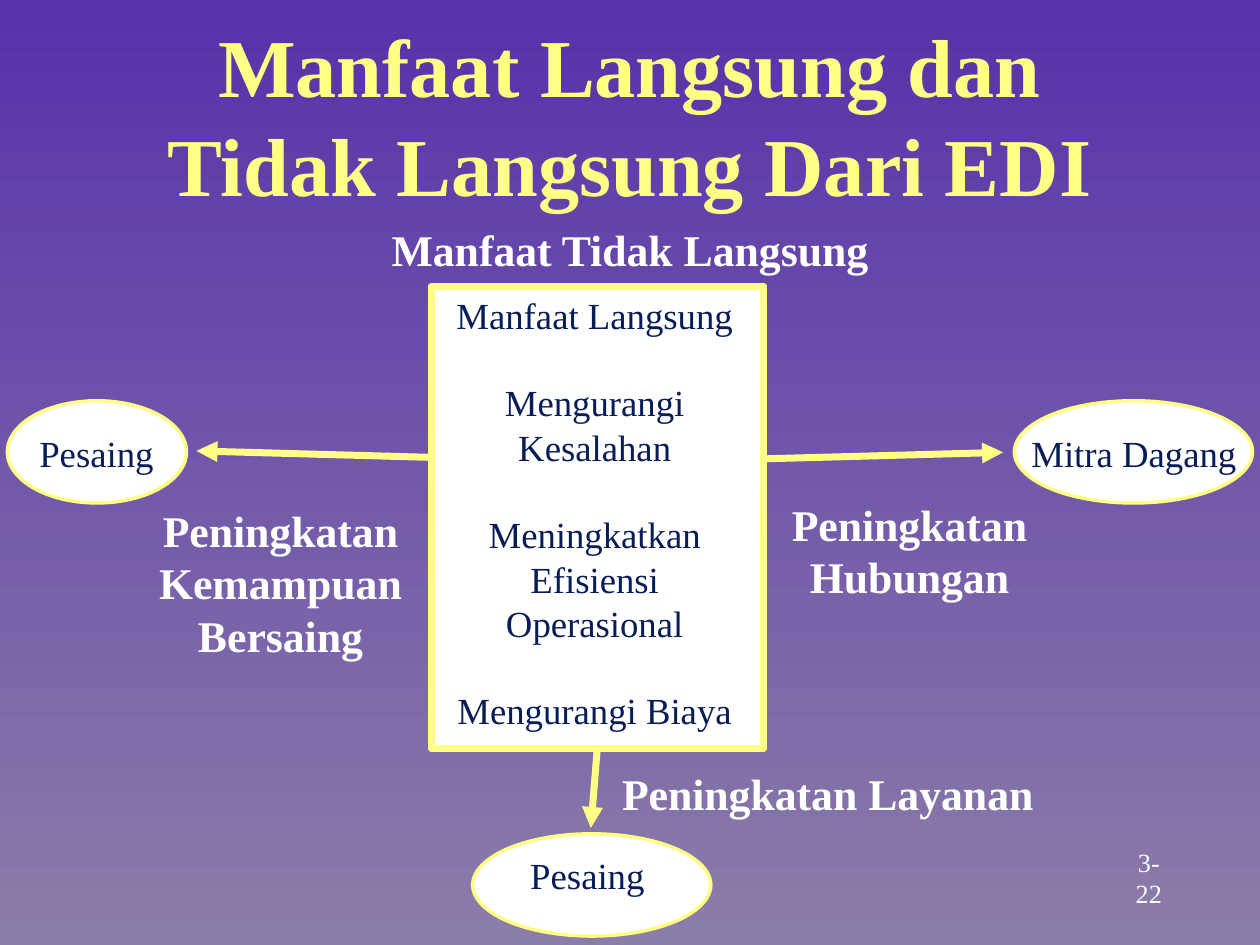
from lxml import etree
from pptx import Presentation
from pptx.dml.color import RGBColor
from pptx.enum.shapes import MSO_CONNECTOR, MSO_SHAPE
from pptx.enum.text import MSO_ANCHOR, MSO_AUTO_SIZE, PP_ALIGN
from pptx.oxml.ns import qn
from pptx.util import Cm, Pt

OVAL, RECT = MSO_SHAPE.OVAL, MSO_SHAPE.RECTANGLE
STRAIGHT = MSO_CONNECTOR.STRAIGHT
LEFT, CENTER = PP_ALIGN.LEFT, PP_ALIGN.CENTER
TOP, MIDDLE = MSO_ANCHOR.TOP, MSO_ANCHOR.MIDDLE
NO_FIT = MSO_AUTO_SIZE.NONE

FONT = "Times New Roman"
YELLOW = RGBColor(0xFF, 0xFF, 0x85)
WHITE = RGBColor(0xFF, 0xFF, 0xFF)
NAVY = RGBColor(0x08, 0x1D, 0x58)
VIOLET = RGBColor(0x57, 0x32, 0xAA)
MAUVE = RGBColor(0x8B, 0x7D, 0xA9)


def set_background(s):
    """Fill the slide with a vertical gradient."""
    fill = s.background.fill
    fill.gradient()
    fill.gradient_angle = 270
    for stop, color, position in zip(fill.gradient_stops, (VIOLET, MAUVE), (0, 1)):
        stop.color.rgb = color
        stop.position = position


def format_text(tf, size, color, bold=False, align=CENTER, gap=0):
    """Apply one font, alignment and paragraph gap to a text frame."""
    for i, p in enumerate(tf.paragraphs):
        p.alignment = align
        p.space_before = Pt(gap if i else 0)
        for r in p.runs:
            r.font.name = FONT
            r.font.size = Pt(size)
            r.font.bold = bold
            r.font.color.rgb = color


def set_title(s, text):
    """Place and format the title placeholder."""
    sp = s.shapes.title
    sp.left, sp.top, sp.width, sp.height = Cm(1.9), Cm(0.43), Cm(21.59), Cm(3.73)
    tf = sp.text_frame
    tf.text = text
    tf.auto_size = NO_FIT
    tf.vertical_anchor = MIDDLE
    format_text(tf, 47, YELLOW, bold=True)


def add_outlined(s, kind, box, weight):
    """Add a white shape with a yellow outline."""
    sp = s.shapes.add_shape(kind, *map(Cm, box))
    sp.shadow.inherit = False
    sp.fill.solid()
    sp.fill.fore_color.rgb = WHITE
    sp.line.color.rgb = YELLOW
    sp.line.width = Pt(weight)


def add_arrow(s, tip, end):
    """Add a yellow line with an arrowhead at its tip."""
    line = s.shapes.add_connector(STRAIGHT, *map(Cm, tip + end))
    line.line.color.rgb = YELLOW
    line.line.width = Pt(4)
    ln = line.line._get_or_add_ln()
    etree.SubElement(ln, qn("a:headEnd"), type="triangle")
    etree.SubElement(line._element.spPr, qn("a:effectLst"))


def add_text(s, text, box, size, color, wrap=False, anchor=TOP, **style):
    """Add a text box with one paragraph per line of text."""
    tf = s.shapes.add_textbox(*map(Cm, box)).text_frame
    tf.text = text
    tf.word_wrap = wrap
    tf.vertical_anchor = anchor
    format_text(tf, size, color, **style)


def add_label(s, text, box, **style):
    """Add a navy label on a white shape."""
    add_text(s, text, box, 21, NAVY, **style)


def add_heading(s, text, box, **style):
    """Add a bold white heading on the background."""
    add_text(s, text, box, 25, WHITE, bold=True, **style)


def main():
    """Build the slide and save it."""
    prs = Presentation()
    prs.slide_width, prs.slide_height = Cm(25.4), Cm(19.05)
    s = prs.slides.add_slide(prs.slide_layouts[5])
    set_background(s)
    set_title(s, "Manfaat Langsung dan Tidak Langsung Dari EDI")

    for left, top, width in ((0.15, 8.08, 3.61), (9.53, 16.81, 4.8), (20.45, 8.08, 4.8)):
        add_outlined(s, OVAL, (left, top, width, 2.06), 2)
    add_outlined(s, RECT, (8.69, 5.77, 6.71, 9.32), 4)

    add_arrow(s, (3.96, 9.09), (8.69, 9.22))
    add_arrow(s, (11.91, 16.69), (12.04, 15.09))
    add_arrow(s, (20.22, 9.12), (15.39, 9.25))

    add_heading(s, "Manfaat Tidak Langsung", (0, 4.37, 25.4, 1.32), wrap=True)
    benefits = ("Manfaat Langsung", "Mengurangi Kesalahan",
                "Meningkatkan Efisiensi Operasional", "Mengurangi Biaya")
    add_label(s, "\n".join(benefits), (8.69, 5.77, 6.6, 10.13), wrap=True, gap=25)
    add_label(s, "Pesaing", (0.51, 8.56, 2.87, 1.17))
    add_label(s, "Mitra Dagang", (20.5, 8.56, 4.72, 1.17))
    add_label(s, "Pesaing", (10.44, 17.07, 2.87, 1.17), align=LEFT)
    add_heading(s, "Peningkatan\nKemampuan\nBersaing", (1.78, 10.03, 7.75, 3.48), wrap=True)
    add_heading(s, "Peningkatan Layanan", (12.29, 15.34, 8.92, 1.32), align=LEFT)
    add_heading(s, "Peningkatan\nHubungan", (15.67, 9.91, 5.33, 2.39))
    add_text(s, "3-22", (22.45, 17.27, 1.42, 0.84), 15, WHITE, wrap=True, anchor=MIDDLE)

    prs.save("out.pptx")


if __name__ == "__main__":
    main()
